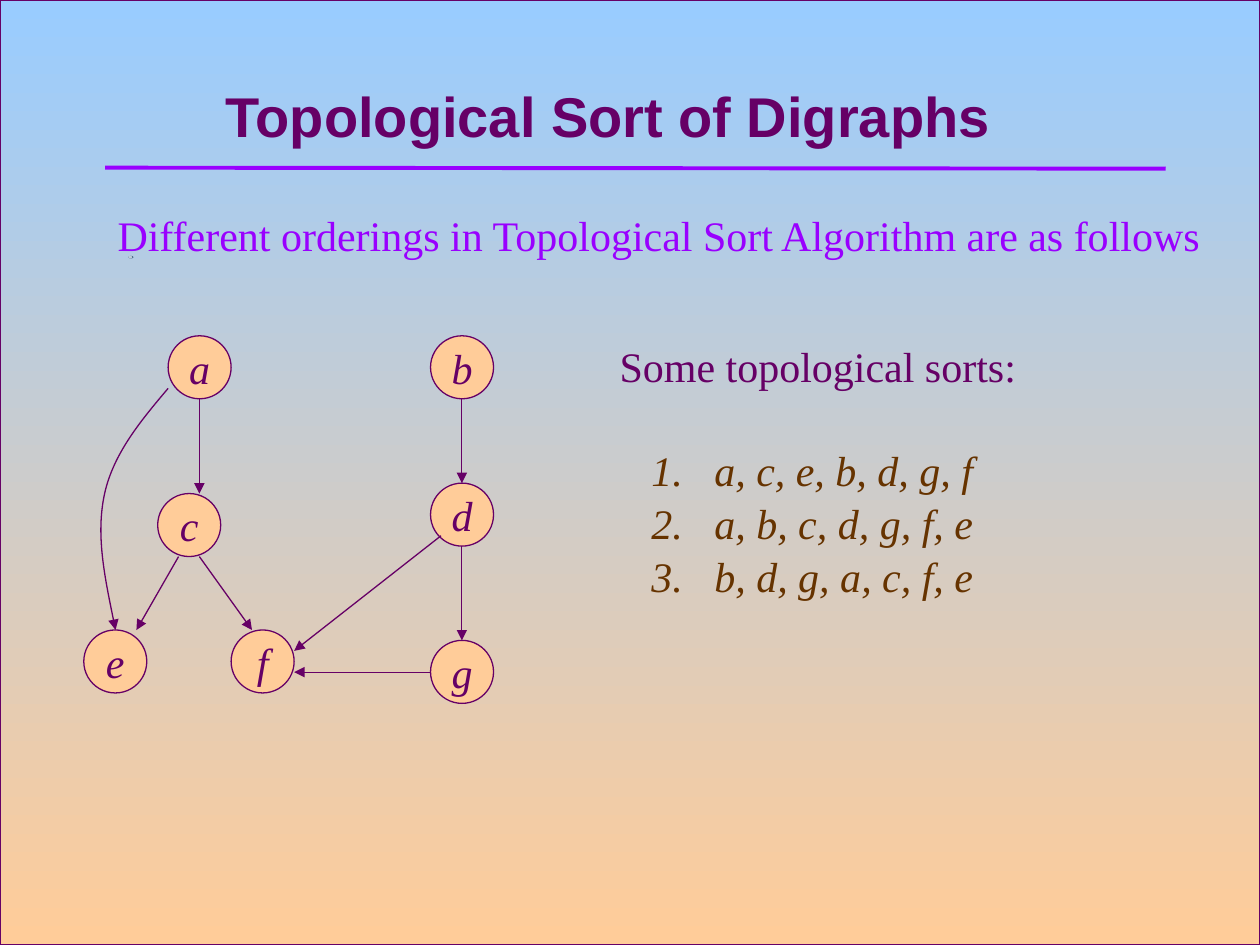
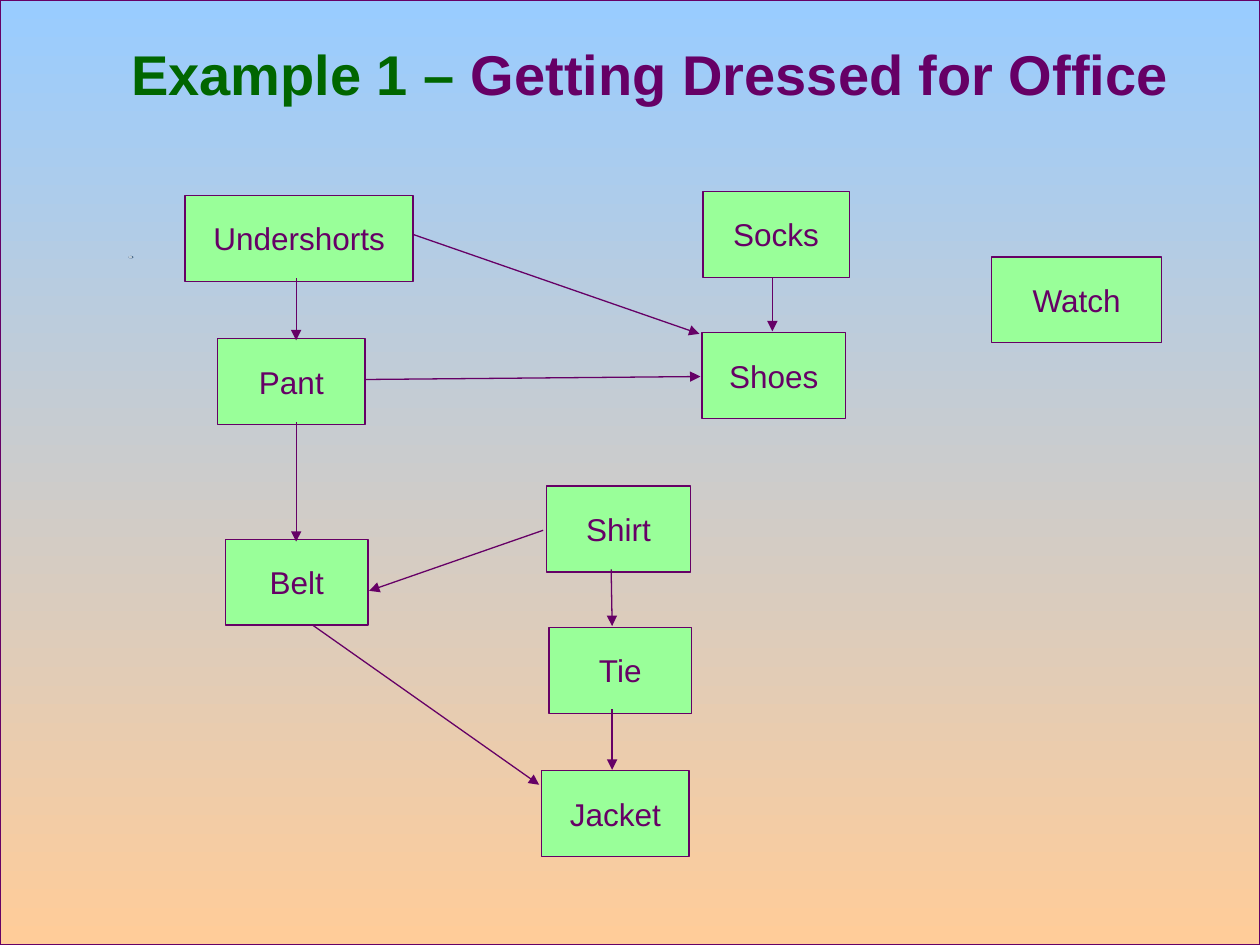
"""Build two slides on topological sorting of directed graphs."""
from dataclasses import dataclass

from lxml import etree
from pptx import Presentation
from pptx import util as u
from pptx.dml.color import RGBColor
from pptx.enum import shapes, text
from pptx.oxml import ns

PURPLE = RGBColor(0x66, 0x00, 0x66)
VIOLET = RGBColor(0x99, 0x00, 0xFF)
BROWN = RGBColor(0x66, 0x33, 0x00)
DARK_GREEN = RGBColor(0x00, 0x66, 0x00)
LIGHT_GREEN = RGBColor(0x99, 0xFF, 0x99)
PEACH = RGBColor(0xFF, 0xCC, 0x99)
SKY = RGBColor(0x99, 0xCC, 0xFF)
SLATE = RGBColor(0x28, 0x4C, 0x70)
MIST = RGBColor(0xBF, 0xCC, 0xD8)
SANS, SERIF = "Arial", "Times New Roman"
WIDTH, HEIGHT = 25.4, 19.05
THIN, THICK = 0.75, 2.25
NODE_SIZE, BOX_HEIGHT = 1.27, 1.73


@dataclass(frozen=True)
class Style:
    font: str
    size: int
    color: RGBColor
    bold: bool = False
    italic: bool = False


@dataclass(frozen=True)
class Box:
    x: float
    y: float
    w: float
    h: float


@dataclass(frozen=True)
class Node:
    label: str
    x: float
    y: float
    w: float = NODE_SIZE


@dataclass(frozen=True)
class Arrow:
    x1: float
    y1: float
    x2: float
    y2: float


TITLE = Style(SANS, 32, PURPLE, bold=True)
TITLE_LEAD = Style(SANS, 32, DARK_GREEN, bold=True)
INTRO = Style(SERIF, 24, VIOLET)
HEADING = Style(SERIF, 24, PURPLE)
ORDERING = Style(SERIF, 24, BROWN, italic=True)
VERTEX = Style(SERIF, 24, PURPLE, italic=True)
GARMENT = Style(SANS, 18, PURPLE)

VERTICES = [
    Node("a", 3.39, 6.77), Node("c", 3.18, 9.95), Node("e", 1.69, 12.7),
    Node("f", 4.66, 12.7), Node("b", 8.68, 6.77), Node("d", 8.68, 9.74),
    Node("g", 8.68, 12.91),
]
EDGES = [
    Arrow(9.31, 8.04, 9.31, 9.74), Arrow(9.31, 11.01, 9.31, 12.91),
    Arrow(8.89, 10.8, 5.93, 13.12), Arrow(8.68, 13.55, 5.93, 13.55),
    Arrow(4.02, 8.04, 4.02, 9.95), Arrow(3.6, 11.22, 2.75, 12.7),
    Arrow(4.02, 11.22, 5.08, 12.7),
]
CURVE_A_TO_E = [
    (3.39, 7.83), (2.84, 8.48), (2.29, 9.14), (2.11, 9.95),
    (1.93, 10.77), (2.13, 11.73), (2.33, 12.7),
]
ORDERINGS = ["a, c, e, b, d, g, f", "a, b, c, d, g, f, e", "b, d, g, a, c, f, e"]

GARMENTS = [
    Node("Undershorts", 3.73, 3.94, 4.6), Node("Watch", 19.99, 5.18, 3.43),
    Node("Socks", 14.17, 3.86, 2.95), Node("Jacket", 10.92, 15.54, 2.97),
    Node("Tie", 11.07, 12.65, 2.87), Node("Shirt", 11.02, 9.8, 2.9),
    Node("Belt", 4.55, 10.87, 2.87), Node("Shoes", 14.15, 6.71, 2.9),
    Node("Pant", 4.39, 6.83, 2.97),
]
DRESSING_STEPS = [
    Arrow(15.57, 5.59, 15.57, 6.68), Arrow(12.32, 11.48, 12.34, 12.62),
    Arrow(12.34, 14.3, 12.34, 15.52), Arrow(5.97, 5.61, 5.97, 6.86),
    Arrow(5.97, 8.51, 5.97, 10.92), Arrow(10.95, 10.69, 7.44, 11.91),
    Arrow(6.3, 12.6, 10.87, 15.82), Arrow(7.37, 7.65, 14.12, 7.59),
    Arrow(8.31, 4.72, 14.1, 6.73),
]


def add_run(p, words: str, style: Style) -> None:
    r = p.add_run()
    r.text = words
    r.font.name, r.font.size = style.font, u.Pt(style.size)
    r.font.bold, r.font.italic = style.bold, style.italic
    r.font.color.rgb = style.color


def add_preset(s, kind, box: Box, fill: RGBColor | None, outlined: bool = True):
    sp = s.shapes.add_shape(kind, u.Cm(box.x), u.Cm(box.y), u.Cm(box.w), u.Cm(box.h))
    sp.shadow.inherit = False
    if fill is not None:
        sp.fill.solid()
        sp.fill.fore_color.rgb = fill
    if outlined:
        sp.line.color.rgb = PURPLE
        sp.line.width = u.Pt(THIN)
    else:
        sp.line.fill.background()
    return sp


def add_node(s, kind, node: Node, height: float, fill: RGBColor, style: Style) -> None:
    sp = add_preset(s, kind, Box(node.x, node.y, node.w, height), fill)
    tf = sp.text_frame
    tf.word_wrap = False
    tf.vertical_anchor = text.MSO_ANCHOR.MIDDLE
    p = tf.paragraphs[0]
    p.alignment = text.PP_ALIGN.CENTER
    add_run(p, node.label, style)


def add_text(s, box: Box, lines: list[str], style: Style, numbered: bool = False) -> None:
    tf = s.shapes.add_textbox(u.Cm(box.x), u.Cm(box.y), u.Cm(box.w), u.Cm(box.h)).text_frame
    tf.word_wrap = False
    for i, line in enumerate(lines):
        p = tf.add_paragraph() if i else tf.paragraphs[0]
        p.line_spacing = 1.05
        add_run(p, line, style)
        if numbered:
            pr = p._p.get_or_add_pPr()
            pr.set("marL", str(u.Cm(1.27)))
            pr.set("indent", str(-u.Cm(1.27)))
            etree.SubElement(pr, ns.qn("a:buAutoNum"), type="arabicPeriod")


def add_title(s, box: Box, runs: list[tuple[str, Style]]) -> None:
    tf = s.shapes.add_textbox(u.Cm(box.x), u.Cm(box.y), u.Cm(box.w), u.Cm(box.h)).text_frame
    tf.word_wrap = True
    tf.vertical_anchor = text.MSO_ANCHOR.MIDDLE
    p = tf.paragraphs[0]
    p.alignment = text.PP_ALIGN.CENTER
    for words, style in runs:
        add_run(p, words, style)


def add_arrowhead(sp) -> None:
    etree.SubElement(sp.line._get_or_add_ln(), ns.qn("a:tailEnd"), type="triangle")


def add_line(s, a: Arrow, color: RGBColor = PURPLE, width: float = THIN, head: bool = True) -> None:
    sp = s.shapes.add_connector(
        shapes.MSO_CONNECTOR.STRAIGHT, u.Cm(a.x1), u.Cm(a.y1), u.Cm(a.x2), u.Cm(a.y2))
    sp.line.color.rgb = color
    sp.line.width = u.Pt(width)
    if head:
        add_arrowhead(sp)
    etree.SubElement(sp._element.spPr, ns.qn("a:effectLst"))


def add_curved_arrow(s, points: list[tuple[float, float]]) -> None:
    start, *rest = [(u.Cm(x), u.Cm(y)) for x, y in points]
    builder = s.shapes.build_freeform(*start)
    builder.add_line_segments(rest, close=False)
    sp = builder.convert_to_shape()
    sp.shadow.inherit = False
    sp.fill.background()
    sp.line.color.rgb = PURPLE
    sp.line.width = u.Pt(THIN)
    add_arrowhead(sp)
    segments = list(sp._element.iter(ns.qn("a:lnTo")))
    outline = segments[0].getparent()
    for i in range(0, len(segments), 3):
        bezier = etree.SubElement(outline, ns.qn("a:cubicBezTo"))
        for segment in segments[i:i + 3]:
            bezier.append(segment[0])
            outline.remove(segment)


def new_slide(prs):
    s = prs.slides.add_slide(prs.slide_layouts[6])
    sp = add_preset(s, shapes.MSO_SHAPE.RECTANGLE, Box(0, 0, WIDTH, HEIGHT), None)
    sp.fill.gradient()
    sp.fill.gradient_angle = 270
    for stop, color, position in zip(sp.fill.gradient_stops, (SKY, PEACH), (0, 1)):
        stop.color.rgb = color
        stop.position = position
    for width, color in ((0.1, SLATE), (0.08, MIST)):
        add_preset(s, shapes.MSO_SHAPE.OVAL, Box(2.59, 5.16, width, 0.05), color, outlined=False)
    return s


def build_digraph_slide(prs) -> None:
    s = new_slide(prs)
    add_title(s, Box(1.47, 0.74, 21.59, 3.18), [("Topological Sort of Digraphs", TITLE)])
    add_line(s, Arrow(2.12, 3.38, 23.5, 3.4), VIOLET, THICK, head=False)
    add_text(s, Box(2.12, 4.04, 22.45, 1.27),
             ["Different orderings in Topological Sort Algorithm are as follows"], INTRO)
    for node in VERTICES:
        add_node(s, shapes.MSO_SHAPE.OVAL, node, NODE_SIZE, PEACH, VERTEX)
    for edge in EDGES:
        add_line(s, edge)
    add_curved_arrow(s, CURVE_A_TO_E)
    add_text(s, Box(12.24, 6.68, 8.71, 1.27), ["Some topological sorts:"], HEADING)
    add_text(s, Box(12.88, 8.79, 6.99, 3.3), ORDERINGS, ORDERING, numbered=True)


def build_dressing_slide(prs) -> None:
    s = new_slide(prs)
    add_title(s, Box(2.16, 0.64, 21.89, 1.65),
              [("Example 1 – ", TITLE_LEAD), ("Getting Dressed for Office", TITLE)])
    for node in GARMENTS:
        add_node(s, shapes.MSO_SHAPE.RECTANGLE, node, BOX_HEIGHT, LIGHT_GREEN, GARMENT)
    for step in DRESSING_STEPS:
        add_line(s, step)


def main() -> None:
    prs = Presentation()
    prs.slide_width, prs.slide_height = u.Cm(WIDTH), u.Cm(HEIGHT)
    build_digraph_slide(prs)
    build_dressing_slide(prs)
    prs.save("out.pptx")


main()
